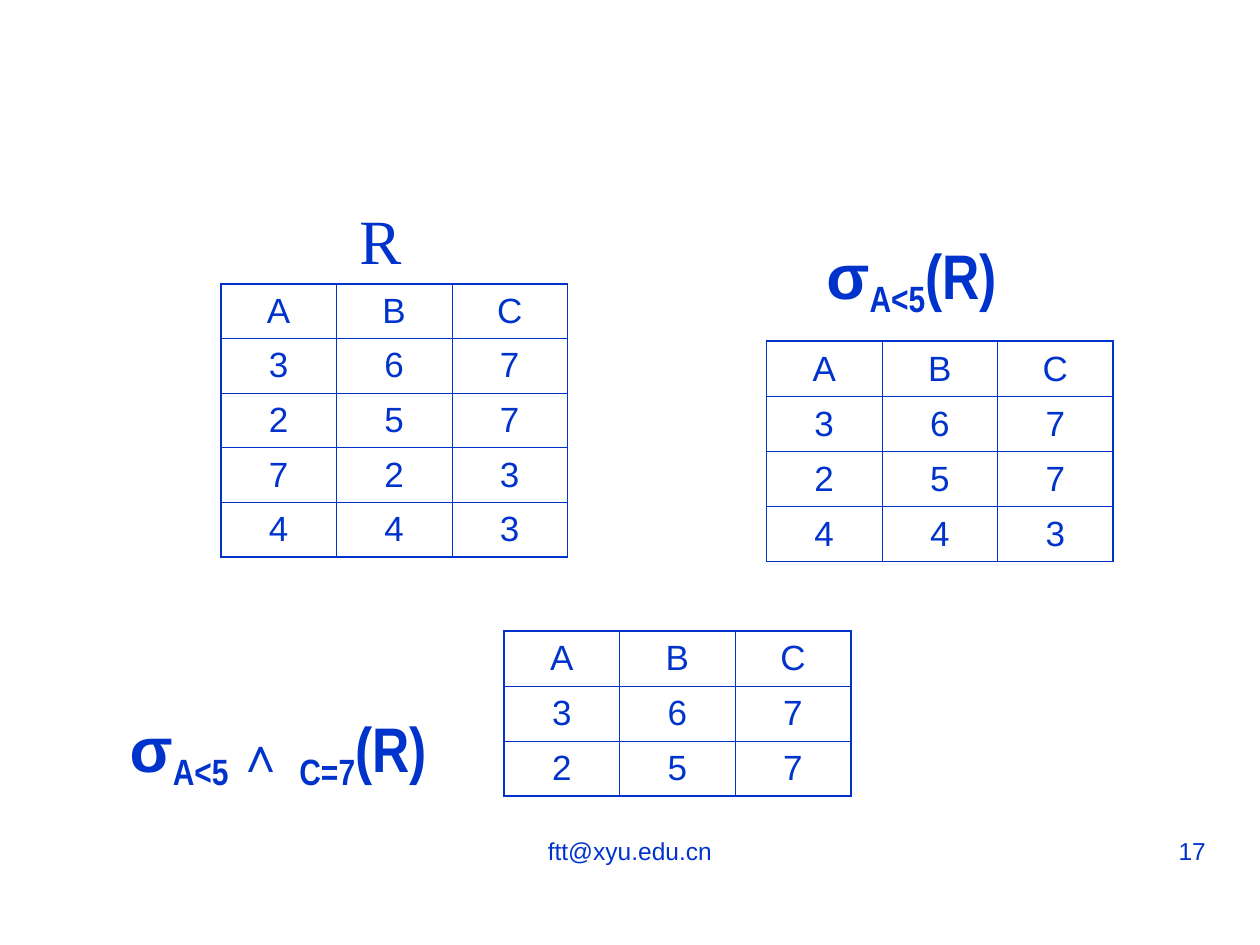
from lxml.etree import SubElement
from pptx import Presentation
from pptx.dml.color import RGBColor
from pptx.enum.text import MSO_ANCHOR as Anchor, MSO_AUTO_SIZE as AutoSize, PP_ALIGN as Align
from pptx.oxml.ns import qn
from pptx.util import Cm, Pt

BLUE = RGBColor(0x00, 0x33, 0xCC)
OUTER, INNER = Pt(1.08), Pt(0.45)
COLUMN_WIDTH = 2.33
HEADER = "ABC"


def style_paragraph(para, size, align, name="Arial", bold=False, before=0):
    """Set the alignment, spacing and shared font of a paragraph."""
    para.alignment = align
    para.space_before = Pt(before)
    para.font.name = name
    para.font.size = Pt(size)
    para.font.bold = bold
    para.font.color.rgb = BLUE


def add_box(page, left, top, width, height):
    """Add a wrapping text box and return it."""
    box = page.shapes.add_textbox(Cm(left), Cm(top), Cm(width), Cm(height))
    box.text_frame.word_wrap = True
    return box


def add_label(page, text, place, size, align=Align.CENTER, name="Arial", before=0):
    """Add a text box with one plain line."""
    para = add_box(page, *place).text_frame.paragraphs[0]
    para.text = text
    style_paragraph(para, size, align, name, before=before)


def add_formula(page, place, parts):
    """Add a bold formula from (text, font, size, is_subscript) parts."""
    frame = add_box(page, *place).text_frame
    frame.auto_size = AutoSize.SHAPE_TO_FIT_TEXT
    para = frame.paragraphs[0]
    style_paragraph(para, 36, Align.CENTER, bold=True, before=22.5)
    for text, name, size, is_subscript in parts:
        span = para.add_run()
        span.text = text
        span.font.name = name
        span.font.size = Pt(size)
        if is_subscript:
            span.font._element.set("baseline", "-20000")


def set_borders(cell, widths):
    """Draw the left, right, top and bottom borders of a cell."""
    properties = cell._tc.get_or_add_tcPr()
    for side, width in zip("LRTB", widths):
        line = SubElement(properties, qn(f"a:ln{side}"), w=str(width))
        fill = SubElement(line, qn("a:solidFill"))
        SubElement(fill, qn("a:srgbClr"), val=str(BLUE))


def add_relation(page, left, top, row_height, tuples):
    """Add a relation table with one digit or letter per cell."""
    rows = [HEADER, *tuples]
    row_count, column_count = len(rows), len(HEADER)
    table = page.shapes.add_table(
        row_count, column_count, Cm(left), Cm(top),
        Cm(COLUMN_WIDTH * column_count), Cm(row_height * row_count)).table
    table.first_row = table.horz_banding = False
    for column in table.columns:
        column.width = Cm(COLUMN_WIDTH)
    for i, values in enumerate(rows):
        table.rows[i].height = Cm(row_height)
        for j, value in enumerate(values):
            cell = table.cell(i, j)
            cell.text = value
            cell.vertical_anchor = Anchor.MIDDLE
            style_paragraph(cell.text_frame.paragraphs[0], 20, Align.CENTER, before=5)
            edges = (j == 0, j == column_count - 1, i == 0, i == row_count - 1)
            set_borders(cell, [OUTER if edge else INNER for edge in edges])
            cell.fill.background()


def main():
    """Build the selection example and save it."""
    deck = Presentation()
    deck.slide_width, deck.slide_height = Cm(25.4), Cm(19.05)
    page = deck.slides.add_slide(deck.slide_layouts[6])

    add_label(page, "ftt@xyu.edu.cn", (8.68, 16.72, 8.04, 1.32), 14)
    add_label(page, "17", (18.21, 16.72, 6.35, 1.32), 14, Align.RIGHT)

    sigma = ("σ", "Arial", 36, False)
    below_five = ("A<5", "Arial Narrow", 36, True)
    operand = ("(R) ", "Arial Narrow", 36, False)

    add_relation(page, 4.45, 5.72, 1.1, ["367", "257", "723", "443"])
    add_label(page, "R", (6.5, 3.94, 2.34, 1.78), 36, name="Times New Roman", before=22.5)

    add_formula(page, (16.3, 4.65, 4.45, 1.93), [sigma, below_five, operand])
    add_relation(page, 15.45, 6.88, 1.11, ["367", "257", "443"])

    add_formula(page, (2.33, 14.18, 6.56, 1.93), [
        sigma, ("A<5 ", "Arial Narrow", 36, True), ("∧ ", "Arial", 28, False),
        ("C=7", "Arial Narrow", 36, True), operand])
    add_relation(page, 10.16, 12.72, 1.11, ["367", "257"])

    deck.save("out.pptx")


if __name__ == "__main__":
    main()
